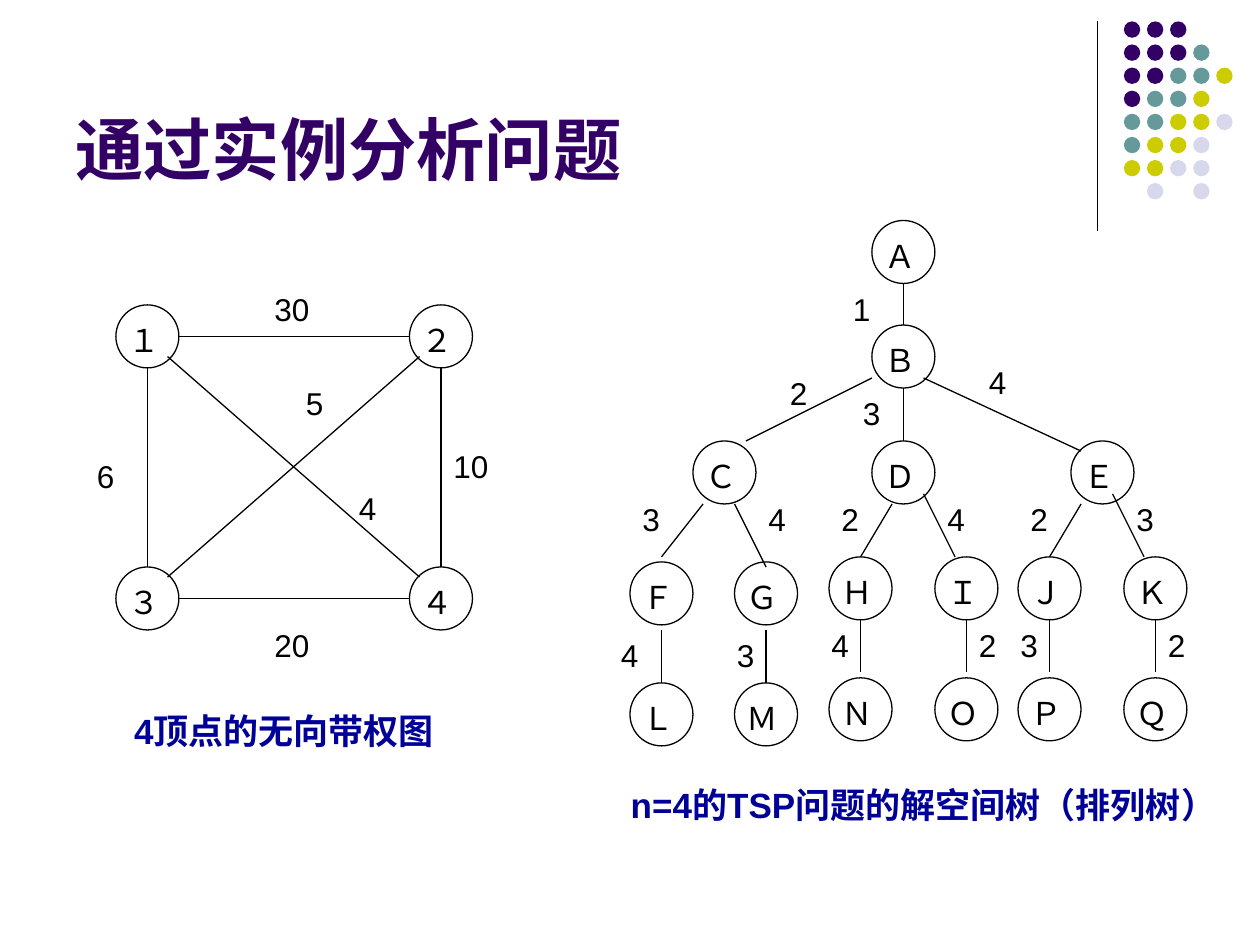
from pptx import Presentation
from pptx.dml.color import RGBColor
from pptx.enum.shapes import MSO_CONNECTOR, MSO_SHAPE
from pptx.enum.text import MSO_ANCHOR, PP_ALIGN
from pptx.oxml.ns import qn
from pptx.util import Inches, Pt
from lxml import etree

THEME = {
    "font": "Arial", "title": "330066", "caption": "000099", "ink": "000000",
    "title_pt": 39, "caption_pt": 20, "label_pt": 18, "line_pt": 0.75,
    "dots": {"P": "330066", "T": "669999", "Y": "CCCC00", "L": "D8D8EC"},
}

# Content: one character per corner dot, "." leaves a gap
DOT_ROWS = ["PPP..", "PPPT.", "PPTTY", "PTTY.", "TTYYL", "TYYL.", "YYLL.", ".L.L."]
TITLE = "通过实例分析问题"
# Captions: text, left, top, width
CAPTIONS = [("4顶点的无向带权图", 0.67, 5.58, 3.17),
            ("n=4的TSP问题的解空间树（排列树）", 4.83, 6.17, 5)]

# Nodes: row top, then label and left of each node in the row
GRAPH_ROWS = [(2.42, [("１", 0.92), ("２", 3.25)]),
              (4.5, [("３", 0.92), ("４", 3.25)])]
TREE_ROWS = [
    (1.75, [("Ａ", 6.92)]),
    (2.58, [("Ｂ", 6.92)]),
    (3.5, [("Ｃ", 5.5), ("Ｄ", 6.92), ("Ｅ", 8.5)]),
    (4.46, [("Ｆ", 5), ("Ｇ", 5.83)]),
    (4.42, [("Ｈ", 6.58), ("Ｉ", 7.42), ("Ｊ", 8.08), ("Ｋ", 8.92)]),
    (5.42, [("Ｌ", 5), ("Ｍ", 5.83)]),
    (5.38, [("Ｎ", 6.58), ("Ｏ", 7.42), ("Ｐ", 8.08), ("Ｑ", 8.92)]),
]

# Edges: start, end, weight, weight position
GRAPH_EDGES = [
    ((1.42, 2.67), (3.25, 2.67), "30", (2.08, 2.25)),
    ((1.42, 4.75), (3.25, 4.75), "20", (2.08, 4.92)),
    ((1.17, 2.92), (1.17, 4.5), "6", (0.67, 3.58)),
    ((3.5, 2.92), (3.5, 4.5), "10", (3.5, 3.5)),
    ((1.33, 2.83), (3.33, 4.58), "4", (2.75, 3.83)),
    ((1.33, 4.58), (3.33, 2.83), "5", (2.33, 3)),
]
TREE_EDGES = [
    ((7.17, 2.25), (7.17, 2.58), "1", (6.67, 2.25)),
    ((6.92, 3), (5.92, 3.5), "2", (6.17, 2.92)),
    ((7.17, 3.08), (7.17, 3.5), "3", (6.75, 3.08)),
    ((7.33, 3), (8.58, 3.58), "4", (7.75, 2.83)),
    ((5.58, 4), (5.25, 4.42), "3", (5, 3.92)),
    ((5.83, 4), (6.08, 4.5), "4", (6, 3.92)),
    ((7.08, 4), (6.83, 4.42), "2", (6.58, 3.92)),
    ((7.33, 3.92), (7.58, 4.42), "4", (7.42, 3.92)),
    ((8.58, 4), (8.33, 4.42), "2", (8.08, 3.92)),
    ((8.83, 3.92), (9.08, 4.42), "3", (8.92, 3.92)),
]
# Vertical edges to the leaves: top, bottom, weight top, then x, weight, weight left
LEAF_EDGES = [
    (5, 5.42, 5, [(5.25, "4", 4.83), (6.08, "3", 5.75)]),
    (4.92, 5.33, 4.92, [(6.83, "4", 6.5), (7.67, "2", 7.67),
                        (8.33, "3", 8), (9.17, "2", 9.17)]),
]
TREE_EDGES += [((x, top), (x, bottom), weight, (left, label_top))
               for top, bottom, label_top, leaves in LEAF_EDGES
               for x, weight, left in leaves]

NODE = 0.5
DOT, DOT_PITCH, DOT_LEFT, DOT_TOP = 0.13, 0.55 / 3, 8.92, 0.17

prs = Presentation()
prs.slide_width, prs.slide_height = Inches(10), Inches(7.5)
s = prs.slides.add_slide(prs.slide_layouts[6])


def rgb(color):
    return RGBColor.from_string(color)


def add_text(text, x, y, w, h, size, color, bold=False,
             align=PP_ALIGN.LEFT, anchor=MSO_ANCHOR.TOP):
    tf = s.shapes.add_textbox(Inches(x), Inches(y), Inches(w), Inches(h)).text_frame
    tf.word_wrap = True
    tf.vertical_anchor = anchor
    p = tf.paragraphs[0]
    p.text, p.alignment = text, align
    p.font.name, p.font.size, p.font.bold = THEME["font"], Pt(size), bold
    p.font.color.rgb = rgb(color)


def add_label(text, x, y, w):
    add_text(text, x, y, w, 0.4, THEME["label_pt"], THEME["ink"])


def add_circle(x, y, size, fill=None):
    sp = s.shapes.add_shape(MSO_SHAPE.OVAL, Inches(x), Inches(y), Inches(size), Inches(size))
    sp.shadow.inherit = False
    if fill:
        sp.fill.solid()
        sp.fill.fore_color.rgb = rgb(fill)
        sp.line.fill.background()
    else:
        sp.fill.background()
        sp.line.color.rgb = rgb(THEME["ink"])
        sp.line.width = Pt(THEME["line_pt"])


def add_line(start, end):
    points = [Inches(v) for v in (*start, *end)]
    line = s.shapes.add_connector(MSO_CONNECTOR.STRAIGHT, *points)
    line.line.color.rgb = rgb(THEME["ink"])
    line.line.width = Pt(THEME["line_pt"])
    etree.SubElement(line._element.spPr, qn("a:effectLst"))


def add_diagram(rows, edges):
    for y, nodes in rows:
        for label, x in nodes:
            add_circle(x, y, NODE)
            add_label(label, x, y + 0.08, 0.42)
    for start, end, weight, (x, y) in edges:
        add_line(start, end)
        add_label(weight, x, y, 0.33 if len(weight) == 1 else 0.5)


# Corner decoration
add_line((8.71, 0.17), (8.71, 1.83))
for row, dots in enumerate(DOT_ROWS):
    for col, dot in enumerate(dots):
        if dot in THEME["dots"]:
            add_circle(DOT_LEFT + col * DOT_PITCH, DOT_TOP + row * DOT_PITCH,
                       DOT, THEME["dots"][dot])

# Title
add_text(TITLE, 0.5, 0.13, 8.25, 1.42, THEME["title_pt"], THEME["title"],
         bold=True, anchor=MSO_ANCHOR.BOTTOM)

# Weighted graph and solution tree
add_diagram(GRAPH_ROWS, GRAPH_EDGES)
add_diagram(TREE_ROWS, TREE_EDGES)

# Captions
for text, x, y, w in CAPTIONS:
    add_text(text, x, y, w, 0.43, THEME["caption_pt"], THEME["caption"],
             bold=True, align=PP_ALIGN.CENTER)

prs.save("out.pptx")
